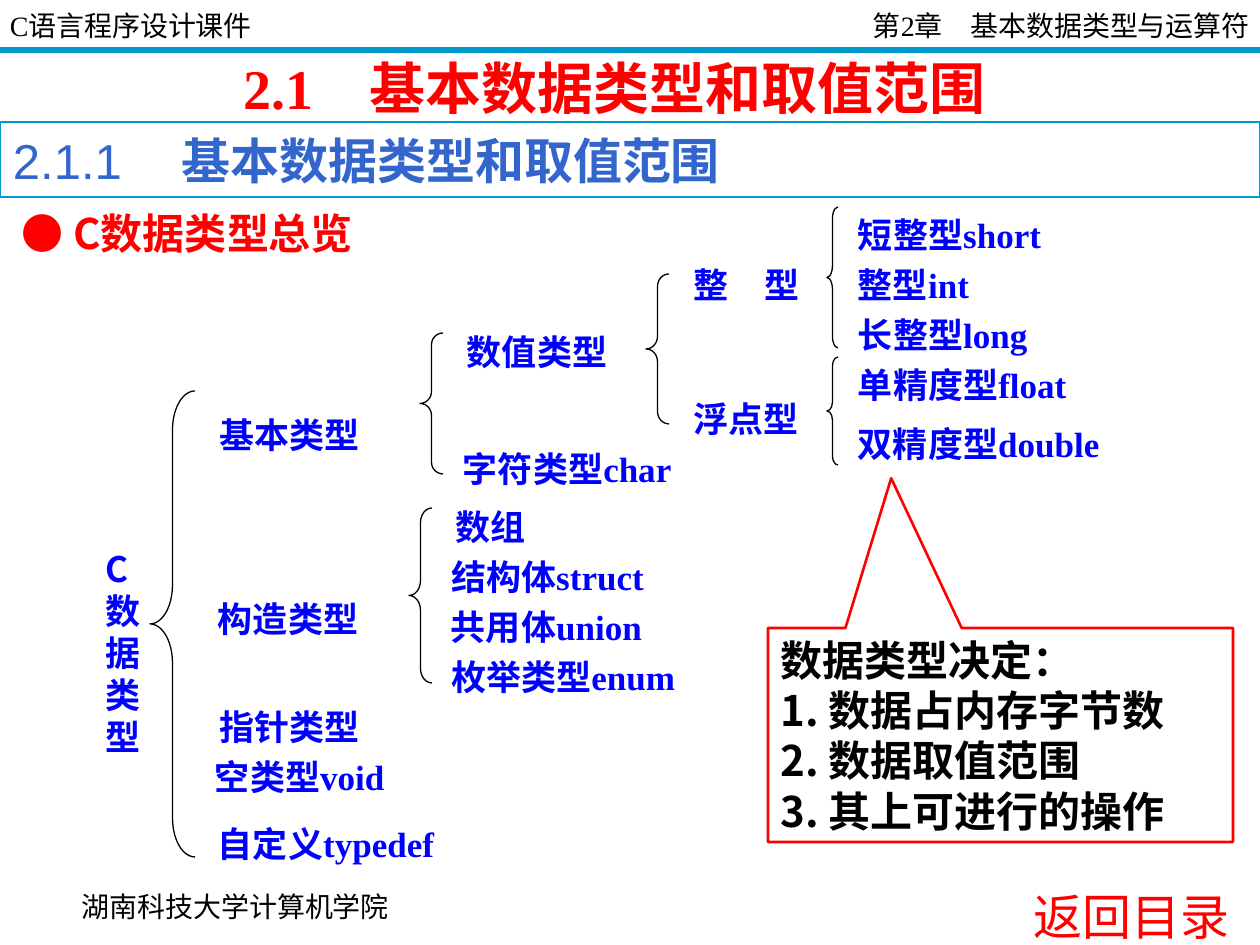
from dataclasses import dataclass

import lxml.etree
import pptx
import pptx.dml.color
import pptx.enum.shapes
import pptx.enum.text
import pptx.oxml.ns
import pptx.util

ALIGN = pptx.enum.text.PP_ALIGN
SHAPE = pptx.enum.shapes.MSO_SHAPE
PX = 914400 / 126


@dataclass(frozen=True)
class Theme:
    serif: str = "Times New Roman"
    sans: str = "Arial"
    cjk: str = "Noto Sans CJK SC"
    ink: str = "000000"
    paper: str = "FFFFFF"
    red: str = "FF0000"
    blue: str = "0000FF"
    section: str = "3366CC"
    rule: str = "0099CC"
    title: int = 32
    heading: int = 28
    point: int = 24
    label: int = 20
    running: int = 16


THEME = Theme()


def emu(*lengths):
    return [pptx.util.Emu(round(length * PX)) for length in lengths]


def rgb(value):
    return pptx.dml.color.RGBColor.from_string(value)


def add_span(para, text, size, color, font=THEME.serif, bold=False):
    span = para.add_run()
    span.text = text
    span.font.size = pptx.util.Pt(size)
    span.font.bold = bold
    span.font.color.rgb = rgb(color)
    span.font.name = font
    # East Asian glyphs take their own typeface
    latin = span.font._element.find(pptx.oxml.ns.qn("a:latin"))
    east = lxml.etree.Element(pptx.oxml.ns.qn("a:ea"), typeface=THEME.cjk)
    latin.addnext(east)


def prepare(shape, side=13, top=0):
    """Set up the text frame of a shape and return its first paragraph."""
    frame = shape.text_frame
    frame.word_wrap = True
    frame.auto_size = pptx.enum.text.MSO_AUTO_SIZE.NONE
    frame.vertical_anchor = pptx.enum.text.MSO_ANCHOR.MIDDLE
    frame.margin_left, frame.margin_right, frame.margin_top, frame.margin_bottom = emu(
        side, side, top, 0)
    para = frame.paragraphs[0]
    para.alignment = ALIGN.LEFT
    return para


def place(shape, box):
    shape.left, shape.top, shape.width, shape.height = emu(*box)


def add_text(page, box, text, size, color, align=ALIGN.LEFT, side=13, top=0, **style):
    shape = page.shapes.add_textbox(*emu(*box))
    para = prepare(shape, side, top)
    para.alignment = align
    add_span(para, text, size, color, **style)


def add_panel(page, kind, box):
    """Add a white preset shape without outline."""
    panel = page.shapes.add_shape(kind, *emu(*box))
    panel.shadow.inherit = False
    panel.fill.solid()
    panel.fill.fore_color.rgb = rgb(THEME.paper)
    panel.line.fill.background()
    return panel


def outline(shape, color, weight):
    shape.line.color.rgb = rgb(color)
    shape.line.width = pptx.util.Pt(weight)


def add_lines(shape, lines, size, color):
    """Fill a shape with tightly set paragraphs."""
    para = prepare(shape)
    for number, line in enumerate(lines):
        if number:
            para = shape.text_frame.add_paragraph()
            para.alignment = ALIGN.LEFT
        para.line_spacing = pptx.util.Pt(1.2 * size)
        add_span(para, line, size, color, THEME.cjk, True)


def add_header(page, box):
    left, top, width, height = box
    half = width // 2
    for x, text, align in ((left, "C语言程序设计课件", ALIGN.LEFT),
                           (left + half, "第2章　基本数据类型与运算符", ALIGN.RIGHT)):
        add_text(page, (x, top, half, height), text, THEME.running, THEME.ink, align, side=10)
    y = top + height + 2
    line = page.shapes.add_connector(
        pptx.enum.shapes.MSO_CONNECTOR.STRAIGHT, *emu(left, y, left + width, y))
    outline(line, THEME.rule, 3)
    lxml.etree.SubElement(line._element.spPr, pptx.oxml.ns.qn("a:effectLst"))


def add_headings(page, box):
    left, top, width, height = box
    # Chapter title
    title = page.shapes.title
    place(title, (left + 230, top - 1, 860, 81))
    add_span(prepare(title), "2.1　基本数据类型和取值范围", THEME.title, THEME.red, bold=True)
    # Framed section heading
    section = page.placeholders[1]
    place(section, (left, top + 74, width, 75))
    outline(section, THEME.rule, 0.75)
    para = prepare(section)
    para.space_before = pptx.util.Pt(0)
    properties = para._p.get_or_add_pPr()
    properties.set("marL", "0")
    properties.set("indent", "0")
    lxml.etree.SubElement(properties, pptx.oxml.ns.qn("a:buNone"))
    add_span(para, "2.1.1　 ", THEME.heading, THEME.section, THEME.sans)
    add_span(para, "基本数据类型和取值范围", THEME.heading, THEME.section, THEME.cjk, True)
    # Topic
    add_text(page, (left + 9, top + 153, 683, 63), "● C数据类型总览",
             THEME.point, THEME.red, font=THEME.cjk, bold=True)


def add_brace(page, box):
    brace = add_panel(page, SHAPE.LEFT_BRACE, box)
    outline(brace, THEME.ink, 0.75)
    width, height = box[2:]
    brace.adjustments[0] = height / 12 / width


def add_type_tree(page, box):
    left, top = box[:2]
    # Root, set vertically
    root = add_panel(page, SHAPE.RECTANGLE, (left, top + 334, 60, 223))
    add_lines(root, "C数据类型", THEME.label, THEME.blue)
    # Labels: x, y, width, text
    labels = (
        (113, 200, 167, "基本类型"), (112, 384, 192, "构造类型"),
        (113, 492, 167, "指针类型"), (109, 542, 205, "空类型void"),
        (112, 609, 328, "自定义typedef"),
        (361, 117, 178, "数值类型"), (357, 234, 246, "字符类型char"),
        (350, 292, 98, "数组"), (345, 342, 230, "结构体struct"),
        (345, 392, 228, "共用体union"), (345, 442, 261, "枚举类型enum"),
        (588, 50, 135, "整　型"), (587, 184, 134, "浮点型"),
        (752, 0, 221, "短整型short"), (752, 50, 149, "整型int"),
        (752, 100, 207, "长整型long"), (752, 150, 246, "单精度型float"),
        (752, 209, 279, "双精度型double"),
    )
    for x, y, width, text in labels:
        label = add_panel(page, SHAPE.RECTANGLE, (left + x, top + y, width, 55))
        add_span(prepare(label), text, THEME.label, THEME.blue, bold=True)
    # Braces: x, y, width, height
    for x, y, width, height in ((57, 184, 45, 466), (327, 126, 23, 141),
                                (553, 67, 23, 150), (734, 0, 11, 141),
                                (734, 150, 11, 108), (316, 301, 23, 175)):
        add_brace(page, (left + x, top + y, width, height))


def add_callout(page, box):
    callout = add_panel(page, SHAPE.RECTANGULAR_CALLOUT, box)
    callout.adjustments[0] = -0.235
    callout.adjustments[1] = -1.2
    outline(callout, THEME.red, 1.5)
    add_lines(callout, ("数据类型决定：", "1. 数据占内存字节数", "2. 数据取值范围",
                        "3. 其上可进行的操作"), THEME.point, THEME.ink)


def add_footer(page, box):
    left, top, width, height = box
    add_text(page, (left + 57, top + 14, 357, 63), "湖南科技大学计算机学院",
             THEME.running, THEME.ink, ALIGN.CENTER)
    add_text(page, (left + width - 342, top, 324, height), "返回目录",
             THEME.heading, THEME.red, ALIGN.RIGHT, top=26)


def main():
    deck = pptx.Presentation()
    deck.slide_width, deck.slide_height = emu(1260, 945)
    page = deck.slides.add_slide(deck.slide_layouts[1])
    add_header(page, (0, 3, 1260, 45))
    add_headings(page, (0, 48, 1260, 215))
    add_type_tree(page, (93, 207, 1035, 663))
    add_callout(page, (768, 628, 465, 214))
    add_footer(page, (0, 861, 1260, 84))
    deck.save("out.pptx")


if __name__ == "__main__":
    main()
